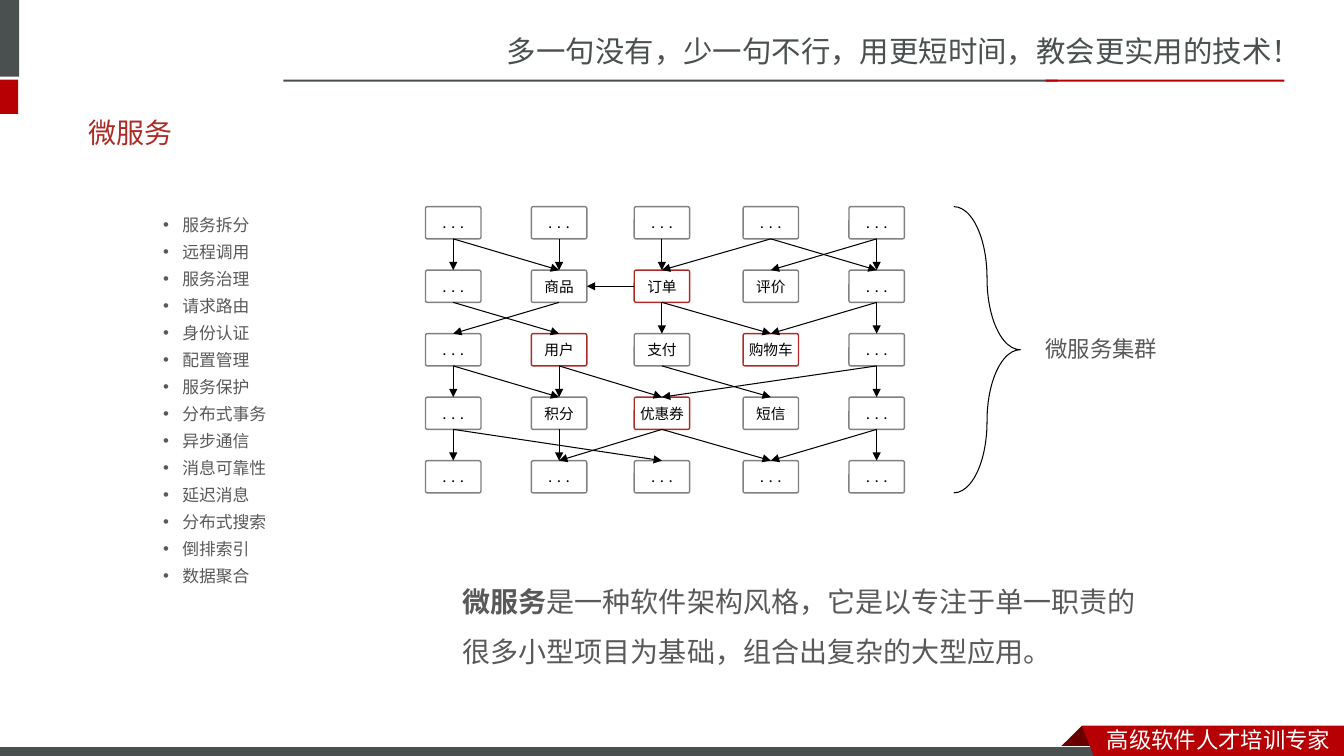
from lxml import etree
from pptx import Presentation
from pptx.dml.color import RGBColor
from pptx.enum import lang, shapes, text
from pptx.oxml import ns
from pptx.util import Inches, Pt

SLATE = RGBColor(0x49, 0x50, 0x4F)
RED = RGBColor(0xB6, 0x00, 0x04)
DARK_RED = RGBColor(0x68, 0x00, 0x00)
ACCENT = RGBColor(0xAD, 0x2B, 0x26)
GRAY = RGBColor(0x80, 0x80, 0x80)
TEXT_GRAY = RGBColor(0x59, 0x59, 0x59)
BLACK = RGBColor(0, 0, 0)
WHITE = RGBColor(0xFF, 0xFF, 0xFF)
SANS = "Noto Sans CJK SC"
MONO = "Noto Sans Mono"

COLUMNS = [4.22, 5.27, 6.29, 7.37, 8.42]
ROW_TOP, ROW_PITCH = 2.05, 0.63
NODE_W, NODE_H = 0.55, 0.32
SERVICES = [
    ["...", "...", "...", "...", "..."],
    ["...", "商品", "订单", "评价", "..."],
    ["...", "用户", "支付", "购物车", "..."],
    ["...", "积分", "优惠券", "短信", "..."],
    ["...", "...", "...", "...", "..."],
]
KEY_SERVICES = {"订单", "用户", "购物车", "优惠券"}
CALLS = [
    [(0, 0), (0, 1), (1, 1), (2, 2), (3, 2), (3, 4), (4, 3), (4, 4)],
    [(0, 1), (1, 0), (2, 2), (2, 3), (4, 3), (4, 4)],
    [(0, 0), (0, 1), (1, 1), (1, 2), (2, 3), (4, 2), (4, 4)],
    [(0, 0), (0, 2), (1, 1), (2, 1), (2, 3), (4, 3), (4, 4)],
]
TOPICS = [
    "服务拆分", "远程调用", "服务治理", "请求路由", "身份认证",
    "配置管理", "服务保护", "分布式事务", "异步通信", "消息可靠性",
    "延迟消息", "分布式搜索", "倒排索引", "数据聚合",
]


def style_run(r, size, color, font, bold=False):
    r.font.size = Pt(size)
    r.font.bold = bold
    r.font.color.rgb = color
    r.font.name = font
    r.font.language_id = lang.MSO_LANGUAGE_ID.SIMPLIFIED_CHINESE
    ea = etree.Element(ns.qn("a:ea"), typeface=font)
    r.font._element.find(ns.qn("a:latin")).addnext(ea)


def paint(sp, fill=None, line=None, width=0.75):
    sp.shadow.inherit = False
    if fill is None:
        sp.fill.background()
    else:
        sp.fill.solid()
        sp.fill.fore_color.rgb = fill
    if line is None:
        sp.line.fill.background()
    else:
        sp.line.color.rgb = line
        sp.line.width = Pt(width)


def add_bar(s, x, y, w, h, color, line=None):
    sp = s.shapes.add_shape(shapes.MSO_SHAPE.RECTANGLE,
                            Inches(x), Inches(y), Inches(w), Inches(h))
    paint(sp, color, line)


def add_outline(s, points, color):
    start, *rest = [(Inches(x), Inches(y)) for x, y in points]
    builder = s.shapes.build_freeform(*start)
    builder.add_line_segments(rest, close=True)
    paint(builder.convert_to_shape(), color)


def add_text(s, x, y, w, h, runs, size, color, font, spacing=None):
    tf = s.shapes.add_textbox(Inches(x), Inches(y), Inches(w), Inches(h)).text_frame
    tf.word_wrap = True
    p = tf.paragraphs[0]
    p.line_spacing = spacing
    for words, bold in runs:
        r = p.add_run()
        r.text = words
        style_run(r, size, color, font, bold)


def add_topics(s, x, y, w, h):
    tf = s.shapes.add_textbox(Inches(x), Inches(y), Inches(w), Inches(h)).text_frame
    tf.word_wrap = True
    tf.text = "\n".join(TOPICS)
    for p in tf.paragraphs:
        p.line_spacing = Pt(19.3)
        pPr = p._p.get_or_add_pPr()
        pPr.set("marL", str(Inches(0.19)))
        pPr.set("indent", str(-Inches(0.19)))
        etree.SubElement(pPr, ns.qn("a:buFont"), typeface="Arial")
        etree.SubElement(pPr, ns.qn("a:buChar"), char="•")
        style_run(p.runs[0], 12, TEXT_GRAY, MONO)


def add_service(s, x, y, name):
    sp = s.shapes.add_shape(shapes.MSO_SHAPE.ROUNDED_RECTANGLE,
                            Inches(x), Inches(y), Inches(NODE_W), Inches(NODE_H))
    sp.adjustments[0] = 0.06
    paint(sp, WHITE, ACCENT if name in KEY_SERVICES else GRAY, 1)
    tf = sp.text_frame
    tf.margin_left = tf.margin_right = tf.margin_top = tf.margin_bottom = 0
    tf.vertical_anchor = text.MSO_ANCHOR.MIDDLE
    tf.text = name
    p = tf.paragraphs[0]
    p.alignment = text.PP_ALIGN.CENTER
    style_run(p.runs[0], 10.5, BLACK, MONO)


def add_arrow(s, x1, y1, x2, y2):
    cx = s.shapes.add_connector(shapes.MSO_CONNECTOR.STRAIGHT,
                                Inches(x1), Inches(y1), Inches(x2), Inches(y2))
    cx.line.color.rgb = BLACK
    cx.line.width = Pt(0.75)
    etree.SubElement(cx.line._get_or_add_ln(), ns.qn("a:tailEnd"), type="triangle")
    etree.SubElement(cx._element.spPr, ns.qn("a:effectLst"))


def add_brace(s, x, y, w, h):
    sp = s.shapes.add_shape(shapes.MSO_SHAPE.RIGHT_BRACE,
                            Inches(x), Inches(y), Inches(w), Inches(h))
    sp.adjustments[0] = 1.07
    sp.adjustments[1] = 0.5
    paint(sp, line=BLACK)


def add_cluster(s):
    tops = [ROW_TOP + ROW_PITCH * i for i in range(len(SERVICES))]
    for y, names in zip(tops, SERVICES):
        for x, name in zip(COLUMNS, names):
            add_service(s, x, y, name)
    centers = [x + NODE_W / 2 for x in COLUMNS]
    for row, calls in enumerate(CALLS):
        for source, target in calls:
            add_arrow(s, centers[source], tops[row] + NODE_H,
                      centers[target], tops[row + 1])
    middle = tops[1] + NODE_H / 2
    add_arrow(s, COLUMNS[2], middle, COLUMNS[1] + NODE_W, middle)
    add_brace(s, 9.46, ROW_TOP, 0.66, tops[-1] + NODE_H - ROW_TOP)


def add_frame(s):
    add_text(s, 4.93, 0.28, 8.41, 0.47,
             [("多一句没有，少一句不行，用更短时间，教会更实用的技术！", False)],
             21, SLATE, SANS)
    add_bar(s, -0.06, 0, 0.25, 0.76, SLATE)
    add_bar(s, -0.06, 0.79, 0.24, 0.34, RED)
    add_bar(s, 2.81, 0.79, 7.68, 0.02, SLATE)
    add_bar(s, 10.37, 0.79, 2.37, 0.02, RED)
    add_outline(s, [(10.73, 7.2), (10.95, 7.42), (10.94, 7.43),
                    (10.52, 7.43), (10.51, 7.42)], DARK_RED)
    add_bar(s, -0.01, 7.41, 11, 0.12, SLATE, WHITE)
    add_outline(s, [(10.73, 7.2), (13.33, 7.2), (13.33, 7.54), (10.86, 7.53)], RED)
    add_text(s, 10.88, 7.15, 2.45, 0.37, [("高级软件人才培训专家", False)],
             16, WHITE, SANS)


def main():
    prs = Presentation()
    prs.slide_width = Inches(13.33)
    prs.slide_height = Inches(7.5)
    s = prs.slides.add_slide(prs.slide_layouts[6])
    add_frame(s)
    add_cluster(s)
    add_text(s, 10.27, 3.28, 1.38, 0.37, [("微服务集群", False)], 16, TEXT_GRAY, MONO)
    add_topics(s, 1.52, 2.01, 1.64, 3.79)
    add_text(s, 0.78, 1.1, 11.75, 0.57, [("微服务", False)], 20, ACCENT, "Roboto")
    add_text(s, 4.49, 5.58, 6.93, 1.06,
             [("微服务", True),
              ("是一种软件架构风格，它是以专注于单一职责的很多小型项目为基础，组合出复杂的大型应用。", False)],
             20, TEXT_GRAY, MONO, 1.5)
    prs.save("out.pptx")


if __name__ == "__main__":
    main()
